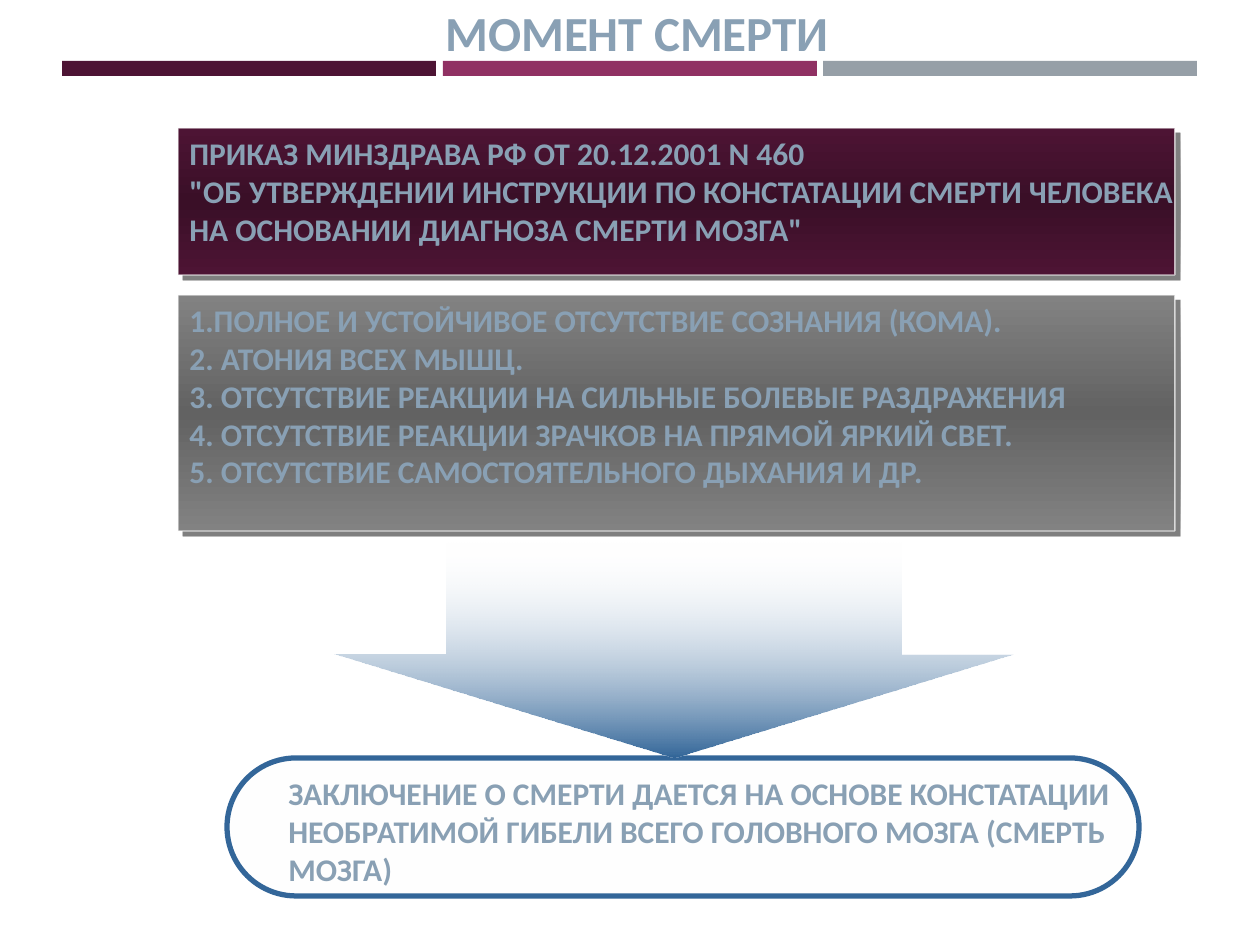
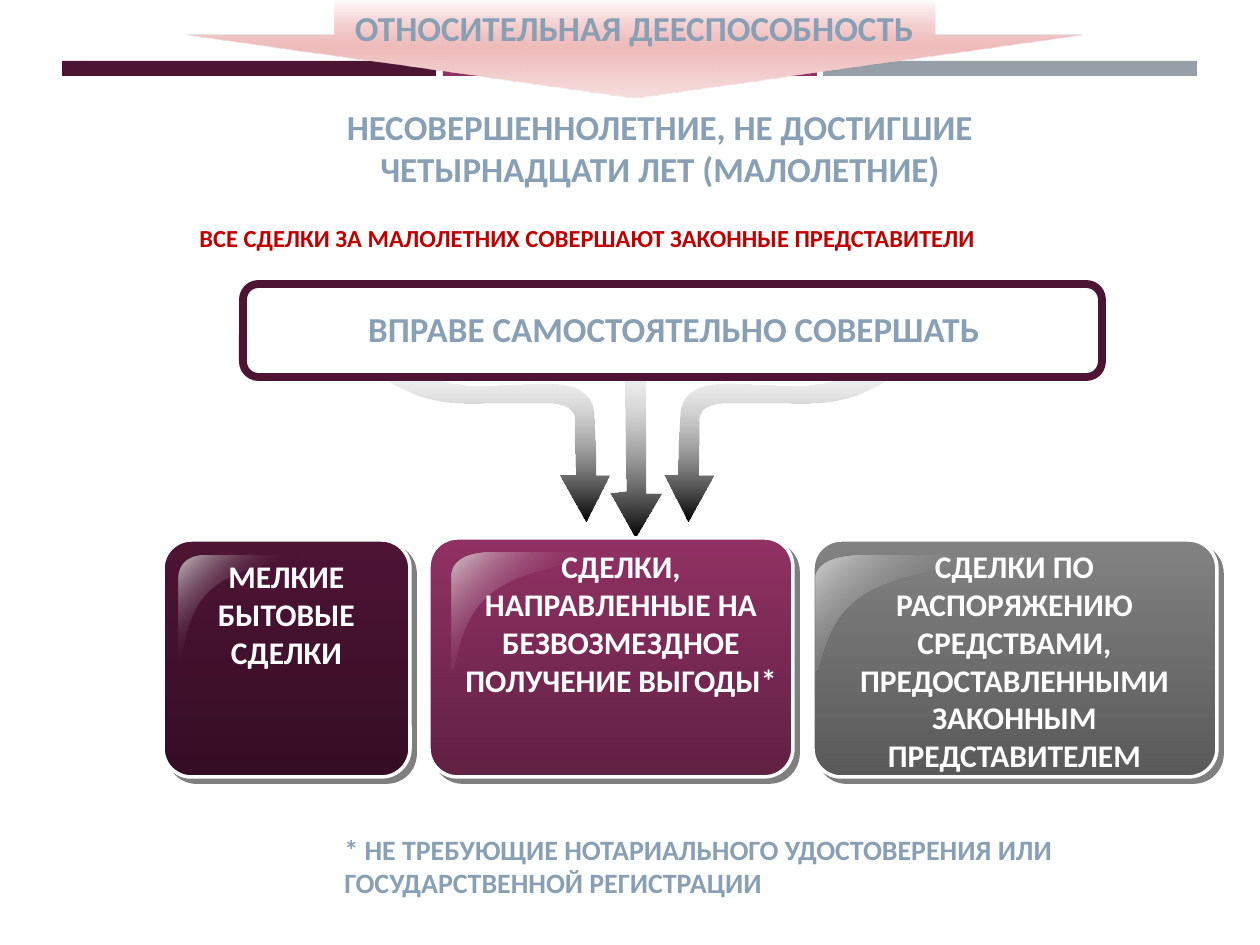
from dataclasses import dataclass

from lxml import etree
from pptx import Presentation
from pptx.dml.color import RGBColor
from pptx.enum.shapes import MSO_SHAPE as SHAPE
from pptx.enum.text import MSO_ANCHOR as ANCHOR, MSO_AUTO_SIZE as AUTO, PP_ALIGN as ALIGN
from pptx.oxml.ns import qn
from pptx.util import Emu, Pt

EMU_PER_PX = 914400 / 126


@dataclass(frozen=True)
class Theme:
    font: str = "Calibri"
    plum: str = "4D1434"
    berry: str = "903163"
    steel: str = "969FA7"
    gray: str = "828282"
    text: str = "89A0B4"
    red: str = "C00000"
    blue: str = "336699"
    white: str = "FFFFFF"
    paper: str = "FEFEFE"
    black: str = "000000"
    title: int = 28
    heading: int = 20
    body: int = 18
    footnote: int = 16
    note: int = 14


T = Theme()

# Boxes are (left, top, width, height) in px; gradient stops are (position %, colour, opacity %).
BANDS = [((62, 61, 374, 15), T.plum), ((823, 61, 374, 15), T.steel), ((443, 61, 374, 15), T.berry)]

DEATH_TITLE = "МОМЕНТ СМЕРТИ"
DEATH_PANELS = [
    dict(box=(178, 128, 997, 147), text_box=(177, 128, 1015, 165), edge=T.plum, middle="3A0F27", lines=[
        "ПРИКАЗ МИНЗДРАВА РФ ОТ 20.12.2001 N 460",
        "\"ОБ УТВЕРЖДЕНИИ ИНСТРУКЦИИ ПО КОНСТАТАЦИИ СМЕРТИ ЧЕЛОВЕКА "
        "НА ОСНОВАНИИ ДИАГНОЗА СМЕРТИ МОЗГА\""]),
    dict(box=(178, 295, 997, 236), text_box=(177, 295, 1025, 292), edge=T.gray, middle="626262", lines=[
        "1.ПОЛНОЕ И УСТОЙЧИВОЕ ОТСУТСТВИЕ СОЗНАНИЯ (КОМА).",
        "2. АТОНИЯ ВСЕХ МЫШЦ.",
        "3. ОТСУТСТВИЕ РЕАКЦИИ НА СИЛЬНЫЕ БОЛЕВЫЕ РАЗДРАЖЕНИЯ",
        "4. ОТСУТСТВИЕ РЕАКЦИИ ЗРАЧКОВ НА ПРЯМОЙ ЯРКИЙ СВЕТ.",
        "5. ОТСУТСТВИЕ САМОСТОЯТЕЛЬНОГО ДЫХАНИЯ И ДР."]),
]
CONCLUSION = ("ЗАКЛЮЧЕНИЕ О СМЕРТИ ДАЕТСЯ НА ОСНОВЕ КОНСТАТАЦИИ НЕОБРАТИМОЙ ГИБЕЛИ "
              "ВСЕГО ГОЛОВНОГО МОЗГА (СМЕРТЬ МОЗГА)")

CAPACITY_TITLE = "ОТНОСИТЕЛЬНАЯ ДЕЕСПОСОБНОСТЬ"
MINORS = "НЕСОВЕРШЕННОЛЕТНИЕ, НЕ ДОСТИГШИЕ ЧЕТЫРНАДЦАТИ ЛЕТ (МАЛОЛЕТНИЕ)"
REPRESENTATIVES = "ВСЕ СДЕЛКИ ЗА МАЛОЛЕТНИХ СОВЕРШАЮТ ЗАКОННЫЕ ПРЕДСТАВИТЕЛИ"
MAY_DO = "ВПРАВЕ САМОСТОЯТЕЛЬНО СОВЕРШАТЬ"
FOOTNOTE = "* НЕ ТРЕБУЮЩИЕ НОТАРИАЛЬНОГО УДОСТОВЕРЕНИЯ ИЛИ ГОСУДАРСТВЕННОЙ РЕГИСТРАЦИИ"
DEALS = [
    dict(text="МЕЛКИЕ БЫТОВЫЕ СДЕЛКИ", box=(163, 540, 247, 237), gloss=(179, 556, 122, 118),
         text_box=(173, 551, 227, 127), top=T.plum, bottom="350D24", shine="C4BFC1"),
    dict(text="СДЕЛКИ, НАПРАВЛЕННЫЕ НА БЕЗВОЗМЕЗДНОЕ ПОЛУЧЕНИЕ ВЫГОДЫ*",
         box=(429, 538, 364, 239), gloss=(452, 553, 181, 120),
         text_box=(439, 541, 364, 204), top=T.berry, bottom="612143", shine="D3C1C8"),
    dict(text="СДЕЛКИ ПО РАСПОРЯЖЕНИЮ СРЕДСТВАМИ, ПРЕДОСТАВЛЕННЫМИ ЗАКОННЫМ ПРЕДСТАВИТЕЛЕМ",
         box=(813, 540, 404, 237), gloss=(816, 556, 213, 118),
         text_box=(813, 541, 403, 242), top=T.gray, bottom="5A5A5A", shine="CFCFCF"),
]

# Outlines: a start point, then pairs (line ends) or sextets (Bézier control points and end).
ARROW_AXIS = 637
SIDE_ARROW = [(347, 333), (347, 333, 377, 410, 483, 404), (517, 404, 552, 404, 552, 404),
              (552, 404, 575, 404, 574, 421), (574, 449, 575, 475, 575, 475),
              (559, 475), (585, 522), (609, 475), (595, 475),
              (595, 475, 595, 444, 593, 413), (591, 389, 566, 386, 566, 386),
              (544, 381, 515, 387, 466, 386), (386, 377, 372, 333, 372, 333), (347, 333)]
MIDDLE_ARROW = [(624, 324), (627, 491), (611, 493), (636, 538), (662, 493), (646, 493),
                (646, 324), (624, 324)]
UNIT_GLOSS = [(.2, 0), (.08, 0, 0, .08, 0, .19), (0, .98), (.04, 1, .02, .51, .27, .29),
              (.52, .06, 1, .05, .99, 0), (.2, 0)]


def px(n):
    return Emu(round(n * EMU_PER_PX))


def rgb(color):
    return RGBColor.from_string(color)


def add_alpha(color_el, opacity):
    etree.SubElement(color_el, qn("a:alpha"), val=str(opacity * 1000))


def add_color(parent, color, opacity=100):
    el = etree.SubElement(parent, qn("a:srgbClr"), val=color)
    if opacity < 100:
        add_alpha(el, opacity)


def set_gradient(sp, stops, angle):
    sp.fill.gradient()
    grad = sp._element.spPr.find(qn("a:gradFill"))
    for child in list(grad):
        grad.remove(child)
    stop_list = etree.SubElement(grad, qn("a:gsLst"))
    for position, color, opacity in stops:
        stop = etree.SubElement(stop_list, qn("a:gs"), pos=str(position * 1000))
        add_color(stop, color, opacity)
    etree.SubElement(grad, qn("a:lin"), ang=str(angle * 60000), scaled="0")


def add_shadow(sp):
    effects = sp._element.spPr.find(qn("a:effectLst"))
    shadow = etree.SubElement(effects, qn("a:outerShdw"), dist=str(Pt(4.2)), dir="2700000",
                              algn="ctr", rotWithShape="0")
    add_color(shadow, T.black, 50)


def paint(sp, fill, line=None, width=0, angle=90):
    """Fill with a colour or a list of gradient stops, and outline if a line colour is given."""
    sp.shadow.inherit = False
    if isinstance(fill, str):
        sp.fill.solid()
        sp.fill.fore_color.rgb = rgb(fill)
    else:
        set_gradient(sp, fill, angle)
    if line:
        sp.line.color.rgb = rgb(line)
        sp.line.width = Pt(width)
    else:
        sp.line.fill.background()
    return sp


def add_shape(shapes, kind, box, fill, line=None, width=0, adjust=()):
    sp = shapes.add_shape(kind, *map(px, box))
    for i, value in enumerate(adjust):
        sp.adjustments[i] = value
    return paint(sp, fill, line, width)


def write(sp, lines, size, color=T.text, align=ALIGN.LEFT, anchor=ANCHOR.TOP, wrap=True):
    tf = sp.text_frame
    tf.text = "\n".join(lines)
    tf.word_wrap = wrap
    tf.auto_size = AUTO.NONE
    tf.vertical_anchor = anchor
    for p in tf.paragraphs:
        p.alignment = align
        for r in p.runs:
            r.font.name, r.font.size, r.font.bold = T.font, Pt(size), True
            r.font.color.rgb = rgb(color)


def add_text(s, box, lines, size, **style):
    write(s.shapes.add_textbox(*map(px, box)), lines, size, **style)


def add_outline(shapes, outline, stops, angle=90):
    """Draw the outline through its segment ends, then turn the curved segments into Béziers."""
    ends = [(px(seg[-2]), px(seg[-1])) for seg in outline]
    builder = shapes.build_freeform(*ends[0])
    builder.add_line_segments(ends[1:], close=True)
    sp = builder.convert_to_shape()
    left, top = (min(values) for values in zip(*ends))
    for seg, line_to in zip(outline[1:], list(sp._element.iter(qn("a:lnTo")))):
        if len(seg) == 6:
            curve = etree.Element(qn("a:cubicBezTo"))
            for x, y in zip(seg[::2], seg[1::2]):
                etree.SubElement(curve, qn("a:pt"), x=str(px(x) - left), y=str(px(y) - top))
            line_to.getparent().replace(line_to, curve)
    return paint(sp, stops, angle=angle)


def map_outline(outline, map_x, map_y):
    return [tuple((map_y if i % 2 else map_x)(v) for i, v in enumerate(seg)) for seg in outline]


def move_bands_to_master(s, master):
    for box, color in BANDS:
        band = add_shape(s.shapes, SHAPE.RECTANGLE, box, color)
        master.shapes._spTree.append(band._element)


def build_death_slide(s):
    title = s.shapes.title
    title.left, title.top, title.width, title.height = map(px, (135, -4, 1004, 72))
    write(title, [DEATH_TITLE], T.title, align=ALIGN.CENTER)

    pill = add_shape(s.shapes, SHAPE.ROUNDED_RECTANGLE, (227, 758, 912, 138), T.paper, T.blue, 3, [0.5])
    add_alpha(pill._element.spPr.find(qn("a:solidFill"))[0], 92)
    for panel in DEATH_PANELS:
        stops = [(0, panel["edge"], 100), (50, panel["middle"], 100), (100, panel["edge"], 100)]
        sp = add_shape(s.shapes, SHAPE.RECTANGLE, panel["box"], stops, T.paper, 0.75)
        add_alpha(sp.line._ln.find(qn("a:solidFill"))[0], 70)
        add_shadow(sp)
    for panel in DEATH_PANELS:
        add_text(s, panel["text_box"], panel["lines"], T.body)
    add_text(s, (276, 768, 858, 127), [CONCLUSION], T.body)
    add_shape(s.shapes, SHAPE.DOWN_ARROW, (335, 542, 678, 216),
              [(0, T.white, 0), (100, T.blue, 100)], adjust=[0.67, 0.48])


def add_deal(s, deal):
    shapes = s.shapes.add_group_shape().shapes
    card = add_shape(shapes, SHAPE.ROUNDED_RECTANGLE, deal["box"],
                     [(0, deal["top"], 100), (100, deal["bottom"], 100)], T.white, 2, [0.12])
    add_shadow(card)
    left, top, width, height = deal["gloss"]
    gloss = map_outline(UNIT_GLOSS, lambda x: left + x * width, lambda y: top + y * height)
    shine = [(0, deal["shine"], 100), (50, deal["top"], 0), (100, deal["shine"], 100)]
    add_outline(shapes, gloss, shine, angle=45)
    add_text(s, deal["text_box"], [deal["text"]], T.body, color=T.white, align=ALIGN.CENTER)


def build_capacity_slide(s):
    mirrored = map_outline(SIDE_ARROW, lambda x: 2 * ARROW_AXIS - x, lambda y: y)
    for outline in (SIDE_ARROW, MIDDLE_ARROW, mirrored):
        add_outline(s.shapes, outline, [(0, T.white, 0), (100, T.black, 100)])
    for deal in DEALS:
        add_deal(s, deal)

    add_text(s, (217, 99, 886, 97), [MINORS], T.heading, align=ALIGN.CENTER)
    add_shape(s.shapes, SHAPE.ROUNDED_RECTANGLE, (243, 284, 859, 93), T.white, T.plum, 4.5)
    add_text(s, (274, 301, 800, 55), [MAY_DO], T.heading, align=ALIGN.CENTER)
    arrow = add_shape(s.shapes, SHAPE.DOWN_ARROW, (187, 0, 895, 98),
                      [(0, "E98F8F", 0), (50, "EFBCBC", 100), (100, "F7DEDE", 100)], adjust=[0.67, 0.64])
    write(arrow, [CAPACITY_TITLE], T.heading, align=ALIGN.CENTER, anchor=ANCHOR.MIDDLE, wrap=False)
    notice = add_shape(s.shapes, SHAPE.RECTANGLE, (187, 217, 984, 43), T.white)
    write(notice, [REPRESENTATIVES], T.note, color=T.red)
    add_text(s, (332, 826, 907, 81), [FOOTNOTE], T.footnote)


def main():
    prs = Presentation()
    prs.slide_width, prs.slide_height = px(1260), px(945)
    title_only, blank = prs.slide_layouts[5], prs.slide_layouts[6]
    death, capacity = prs.slides.add_slide(title_only), prs.slides.add_slide(blank)
    move_bands_to_master(death, prs.slide_master)
    build_death_slide(death)
    build_capacity_slide(capacity)
    prs.save("out.pptx")


if __name__ == "__main__":
    main()
